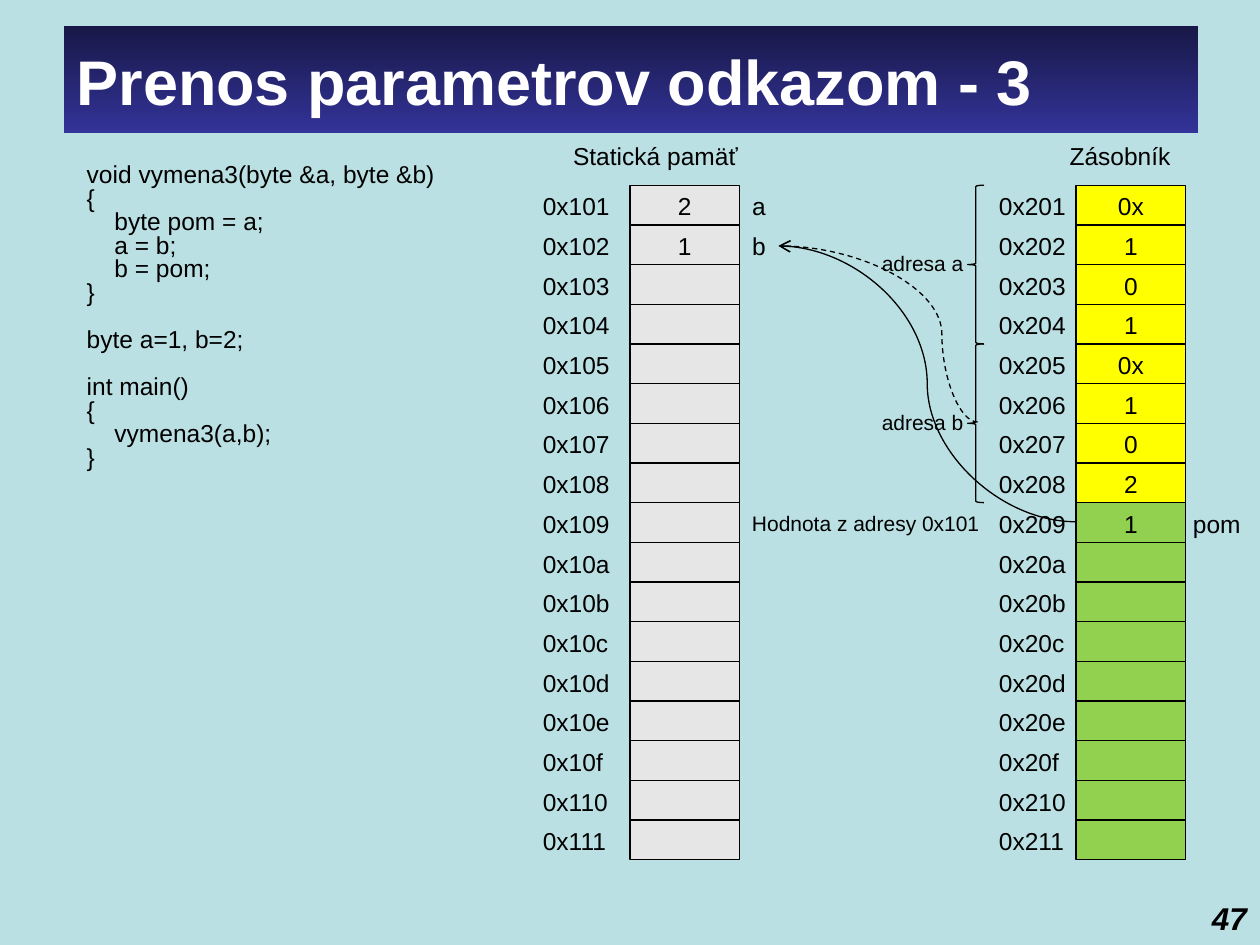
import pptx
import pptx.dml.color
import pptx.enum.dml
import pptx.enum.shapes
import pptx.enum.text
import pptx.oxml
import pptx.oxml.ns
import pptx.util

COLORS = {
    "background": "BBE0E3", "title_top": "181848", "title_bottom": "333399",
    "white": "FFFFFF", "ink": "000000", "static": "E6E6E6",
    "argument": "FFFF00", "stack": "92D050",
}
COLUMN, ROW, FIRST_ROW = 0.1, 0.315, 1.47
LABEL_HEIGHT, SMALL_HEIGHT = 1.08, 0.95


def color(name):
    return pptx.dml.color.RGBColor.from_string(COLORS[name])


class MemorySlide:
    """Draws memory diagrams on a grid whose row zero is the first cell."""

    def __init__(self, slide, font="Arial", size=14, line_width=0.75):
        self.slide, self.shapes = slide, slide.shapes
        self.font, self.size, self.line_width = font, size, line_width
        slide.background.fill.solid()
        slide.background.fill.fore_color.rgb = color("background")

    def place(self, column, row):
        return (pptx.util.Inches(column * COLUMN),
                pptx.util.Inches(FIRST_ROW + row * ROW))

    def box(self, column, row, columns, rows):
        return (*self.place(column, row), pptx.util.Inches(columns * COLUMN),
                pptx.util.Inches(rows * ROW))

    def format(self, paragraph, size=None, ink="ink", bold=False, italic=False):
        for run in paragraph.runs:
            run.font.name = self.font
            run.font.size = pptx.util.Pt(size or self.size)
            run.font.color.rgb = color(ink)
            run.font.bold, run.font.italic = bold, italic

    def outline(self, shape):
        shape.line.color.rgb = color("ink")
        shape.line.width = pptx.util.Pt(self.line_width)

    def shape(self, kind, place):
        shape = self.shapes.add_shape(kind, *self.box(*place))
        shape.shadow.inherit = False
        self.outline(shape)
        return shape

    def title(self, text, *place):
        shape = self.shape(pptx.enum.shapes.MSO_SHAPE.RECTANGLE, place)
        shape.line.fill.background()
        shape.fill.gradient()
        shape.fill.gradient_angle = 270
        for stop, position, name in zip(shape.fill.gradient_stops, (0, 1),
                                        ("title_top", "title_bottom")):
            stop.position, stop.color.rgb = position, color(name)
        shape.text_frame.text = text
        shape.text_frame.vertical_anchor = pptx.enum.text.MSO_ANCHOR.MIDDLE
        paragraph = shape.text_frame.paragraphs[0]
        paragraph.alignment = pptx.enum.text.PP_ALIGN.LEFT
        self.format(paragraph, 36, "white", bold=True)

    def cell(self, text, fill, *place):
        shape = self.shape(pptx.enum.shapes.MSO_SHAPE.RECTANGLE, place)
        shape.fill.solid()
        shape.fill.fore_color.rgb = color(fill)
        if text:
            shape.text_frame.text = text
            shape.text_frame.vertical_anchor = pptx.enum.text.MSO_ANCHOR.TOP
            paragraph = shape.text_frame.paragraphs[0]
            paragraph.alignment = pptx.enum.text.PP_ALIGN.CENTER
            self.format(paragraph)

    def label(self, text, *place, wrap=False, **style):
        frame = self.shapes.add_textbox(*self.box(*place)).text_frame
        frame.text, frame.word_wrap = text, wrap
        self.format(frame.paragraphs[0], **style)

    def code(self, blocks, *place):
        frame = self.shapes.add_textbox(*self.box(*place)).text_frame
        frame.word_wrap = True
        paragraph = frame.paragraphs[0]
        for block_number, block in enumerate(blocks):
            for line_number, (indent, text) in enumerate(block):
                if block_number or line_number:
                    paragraph = frame.add_paragraph()
                paragraph.text = text
                paragraph.line_spacing = 0.8
                if block_number and not line_number:
                    paragraph.space_before = pptx.util.Pt(13.5)
                if indent:
                    properties = paragraph._p.get_or_add_pPr()
                    properties.set("marL", str(pptx.util.Inches(0.22)))
                    properties.set("indent", "0")
                self.format(paragraph)

    def brace(self, *place):
        shape = self.shape(pptx.enum.shapes.MSO_SHAPE.LEFT_BRACE, place)
        shape.fill.background()

    def curve(self, start, end, bend=0.5, dashed=False):
        connector = self.shapes.add_connector(
            pptx.enum.shapes.MSO_CONNECTOR.CURVE,
            *self.place(*start), *self.place(*end))
        self.outline(connector)
        if dashed:
            connector.line.dash_style = pptx.enum.dml.MSO_LINE.DASH
        qualified = pptx.oxml.ns.qn
        properties = connector.element.spPr
        guides = properties.find(qualified("a:prstGeom")).find(qualified("a:avLst"))
        guide = guides.makeelement(qualified("a:gd"), {
            "name": "adj1", "fmla": f"val {round(bend * 100000)}"})
        guides.append(guide)
        line = properties.find(qualified("a:ln"))
        line.append(line.makeelement(qualified("a:tailEnd"), {"type": "arrow"}))
        properties.append(properties.makeelement(qualified("a:effectLst"), {}))

    def memory(self, heading, heading_place, prefix, column, label_column, cells):
        self.shapes = self.slide.shapes.add_group_shape().shapes
        self.label(heading, *heading_place)
        for row, (text, fill) in enumerate(cells):
            self.cell(text, fill, column, row, 8.7, 1)
        for row, suffix in enumerate(ADDRESSES):
            width = 6.8 if suffix.endswith("f") else 7.3
            self.label(prefix + suffix, label_column, row, width, LABEL_HEIGHT)
        self.shapes = self.slide.shapes


ADDRESSES = [f"{number:02x}" for number in range(1, 18)]
CODE = [
    [(0, "void vymena3(byte &a, byte &b)"), (0, "{"), (1, "byte pom = a;"),
     (1, "a = b;"), (1, "b = pom;"), (0, "}")],
    [(0, "byte a=1, b=2;")],
    [(0, "int main()"), (0, "{"), (1, "vymena3(a,b);"), (0, "}")],
]
STATIC_CELLS = [(text, "static") for text in ["2", "1"] + [""] * 15]
ARGUMENT_CELLS = [(text, "argument") for text in "0x 1 0 1 0x 1 0 2".split()]
STACK_CELLS = ARGUMENT_CELLS + [(text, "stack") for text in ["1"] + [""] * 8]

presentation = pptx.Presentation()
presentation.slide_width = pptx.util.Inches(10)
presentation.slide_height = pptx.util.Inches(7.5)
page = MemorySlide(presentation.slides.add_slide(presentation.slide_layouts[6]))

page.title("Prenos parametrov odkazom - 3", 5.1, -4, 90, 2.7)
page.memory("Statická pamäť", (44.5, -1.27, 15.2, LABEL_HEIGHT),
            "0x1", 50, 42.1, STATIC_CELLS)
page.code(CODE, 5.9, -0.67, 42.4, 8.1)
for row, name in enumerate("ab"):
    page.label(name, 58.7, row, 3.1, LABEL_HEIGHT, wrap=True)
    page.brace(76.8, 4 * row, 1.3, 4)
    page.label(f"adresa {name}", 69, 4 * row + 1.5, 8.5, SMALL_HEIGHT, size=12)
page.label("pom", 93.7, 8, 6.3, LABEL_HEIGHT, wrap=True)
page.label("Hodnota z adresy 0x101", 58.7, 8.03, 21.3, SMALL_HEIGHT,
           wrap=True, size=12)
page.curve((85.4, 8.48), (61.8, 1.53))
page.curve((77.6, 5.97), (61.8, 1.53), bend=0.18, dashed=True)
page.memory("Zásobník", (83.9, -1.27, 10.1, LABEL_HEIGHT),
            "0x2", 85.4, 78.3, STACK_CELLS)
page.label("47", 95.2, 17.84, 4.8, 1.27, size=18, bold=True, italic=True)

presentation.save("out.pptx")
